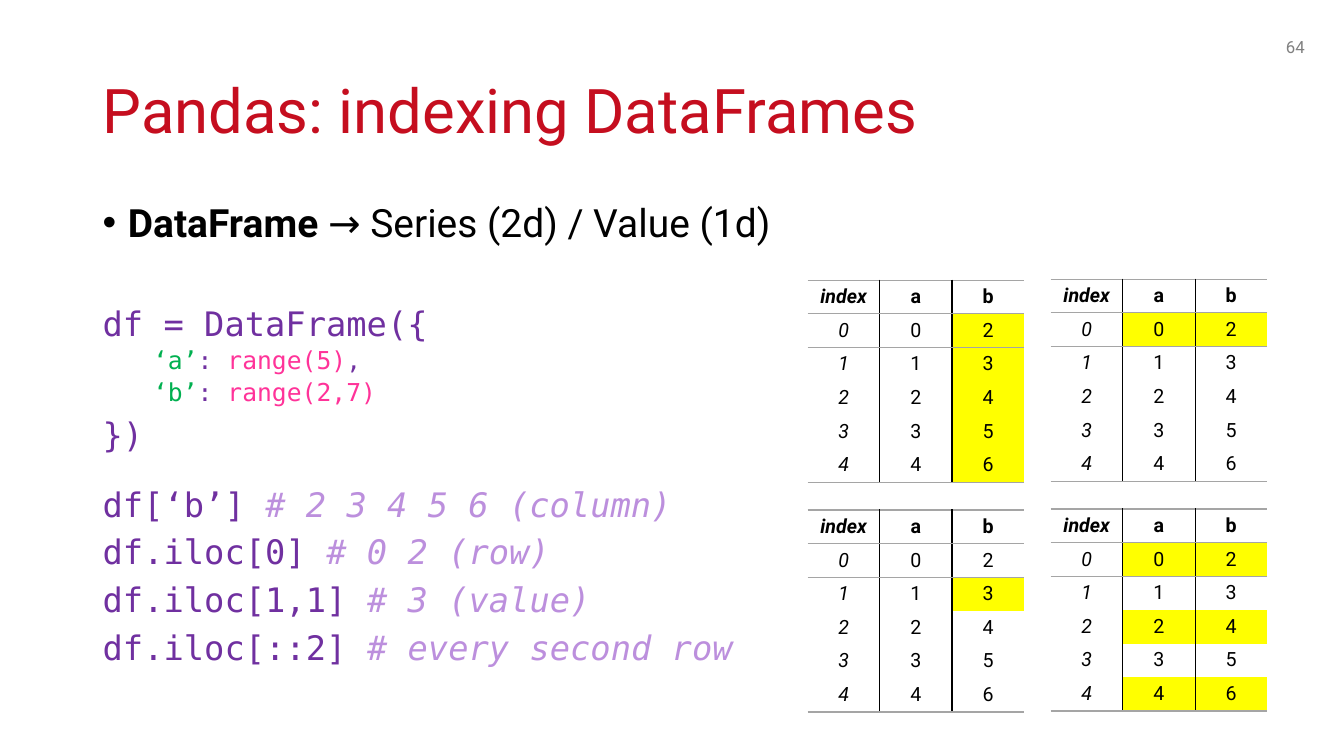
import lxml.etree
import pptx
import pptx.dml.color
import pptx.enum.text
import pptx.oxml.ns
import pptx.util

Inches, Pt = pptx.util.Inches, pptx.util.Pt
ALIGN, ANCHOR = pptx.enum.text.PP_ALIGN, pptx.enum.text.MSO_ANCHOR
SANS, MONO = "Roboto", "DejaVu Sans Mono"
BLACK, RED, GREY, RULE = "000000", "C50E1F", "808080", "A5A5A5"
PURPLE, LILAC, GREEN, PINK, YELLOW = "7030A0", "BC8FDD", "00B050", "FF3399", "FFFF00"
NO_GRID_STYLE = "{2D5ABB26-0587-4C30-8999-92F81FD0307C}"
ROWS = [("index", "a", "b")] + [(str(i), str(i), str(i + 2)) for i in range(5)]


def rgb(color):
    """Turn a hex string into a colour."""
    return pptx.dml.color.RGBColor.from_string(color)


def add_xml(parent, tag, **attrs):
    """Append a DrawingML element and return it."""
    return lxml.etree.SubElement(parent, pptx.oxml.ns.qn(tag), attrs)


def style_run(r, size, color, font=SANS, bold=False, italic=False):
    """Format one run."""
    r.font.size, r.font.name = Pt(size), font
    r.font.bold, r.font.italic = bold, italic
    r.font.color.rgb = rgb(color)


def add_box(s, left, top, width, height, anchor=ANCHOR.TOP):
    """Add a wrapping text box and return its text frame."""
    sp = s.shapes.add_textbox(Inches(left), Inches(top), Inches(width), Inches(height))
    tf = sp.text_frame
    tf.word_wrap, tf.vertical_anchor = True, anchor
    return tf


def add_label(s, text, box, size, color, align=ALIGN.LEFT, spacing=1.0):
    """Add a single line of text centred vertically in its box."""
    p = add_box(s, *box, ANCHOR.MIDDLE).paragraphs[0]
    p.text, p.alignment, p.line_spacing = text, align, spacing
    style_run(p.runs[0], size, color)


def format_paragraph(p, before, indent=0, level=0):
    """Set the spacing, left indent and level of a body paragraph."""
    p.line_spacing, p.space_before, p.level = 0.83, Pt(before), level
    p._p.get_or_add_pPr().set("marL", str(Inches(indent)))


def add_bullet(p, bold_text, text):
    """Write the bulleted statement."""
    format_paragraph(p, 10, 0.25)
    pPr = p._p.get_or_add_pPr()
    pPr.set("indent", str(Inches(-0.25)))
    add_xml(pPr, "a:buFont", typeface="Arial")
    add_xml(pPr, "a:buChar", char="•")
    for part, bold in ((bold_text, True), (text, False)):
        r = p.add_run()
        r.text = part
        style_run(r, 27.8, BLACK, bold=bold)


def add_code(tf, parts, before=10, level=0):
    """Add a line of code made of text and colour pairs."""
    p = tf.add_paragraph()
    format_paragraph(p, before, 0.5 * level, level)
    for text, color in parts:
        r = p.add_run()
        r.text = text
        style_run(r, 17.6 if level else 24.1, color, MONO, italic=color == LILAC)


def add_border(cell, side, color):
    """Draw a one point line on one side of a cell."""
    ln = add_xml(cell._tc.get_or_add_tcPr(), "a:ln" + side, w=str(Pt(1)))
    add_xml(add_xml(ln, "a:solidFill"), "a:srgbClr", val=color)


def format_cell(cell, text, row, col, highlighted):
    """Fill in one cell of a frame table."""
    if col > 0:
        add_border(cell, "L", BLACK)
    if col < 2:
        add_border(cell, "R", BLACK)
    if row < 2:
        add_border(cell, "T", RULE)
    if row in (0, len(ROWS) - 1):
        add_border(cell, "B", RULE)
    if highlighted:
        cell.fill.solid()
        cell.fill.fore_color.rgb = rgb(YELLOW)
    else:
        cell.fill.background()
    p = cell.text_frame.paragraphs[0]
    p.text, p.alignment = text, ALIGN.CENTER
    style_run(p.runs[0], 14, BLACK, bold=row == 0, italic=col == 0)


def add_frame_table(s, left, top, highlights):
    """Add the data frame as a table with some cells highlighted."""
    sp = s.shapes.add_table(len(ROWS), 3, Inches(left), Inches(top), Inches(2.15), Inches(2))
    table = sp.table
    table.first_row = table.horz_banding = False
    table._tbl.tblPr.find(pptx.oxml.ns.qn("a:tableStyleId")).text = NO_GRID_STYLE
    for row, values in enumerate(ROWS):
        for col, text in enumerate(values):
            format_cell(table.cell(row, col), text, row, col, (row, col) in highlights)


def main():
    """Build the slide."""
    prs = pptx.Presentation()
    prs.slide_width, prs.slide_height = Inches(13.33), Inches(7.5)
    s = prs.slides.add_slide(prs.slide_layouts[6])
    add_label(s, "Pandas: indexing DataFrames", (0.92, 0.4, 11.5, 1.45), 44, RED, spacing=0.9)

    tf = add_box(s, 0.92, 2, 7.96, 4.76)
    add_bullet(tf.paragraphs[0], "DataFrame", " → Series (2d) / Value (1d)")
    add_code(tf, [("df = DataFrame({", PURPLE)], before=46)
    for key, values, end in (("‘a’", "range(5)", ","), ("‘b’", "range(2,7)", "")):
        parts = [(key, GREEN), (": ", PURPLE), (values, PINK), (end, PURPLE)]
        add_code(tf, [part for part in parts if part[0]], before=5, level=1)
    add_code(tf, [("})", PURPLE)])
    examples = [
        ("df[‘b’] ", "# 2 3 4 5 6 (column)", 26),
        ("df.iloc[0] ", "# 0 2 (row)", 10),
        ("df.iloc[1,1] ", "# 3 (value)", 10),
        ("df.iloc[::2] ", "# every second row", 10),
    ]
    for code, comment, before in examples:
        add_code(tf, [(code, PURPLE), (comment, LILAC)], before)

    column = {(row, 2) for row in range(1, 6)}
    first_row = {(1, 1), (1, 2)}
    second_rows = {(row, col) for row in (1, 3, 5) for col in (1, 2)}
    add_frame_table(s, 8.01, 2.78, column)
    add_frame_table(s, 10.42, 2.77, first_row)
    add_frame_table(s, 8.01, 5.06, {(2, 2)})
    add_frame_table(s, 10.42, 5.05, second_rows)
    add_label(s, "64", (10.04, 0.26, 3, 0.4), 12, GREY, ALIGN.RIGHT)
    prs.save("out.pptx")


if __name__ == "__main__":
    main()
